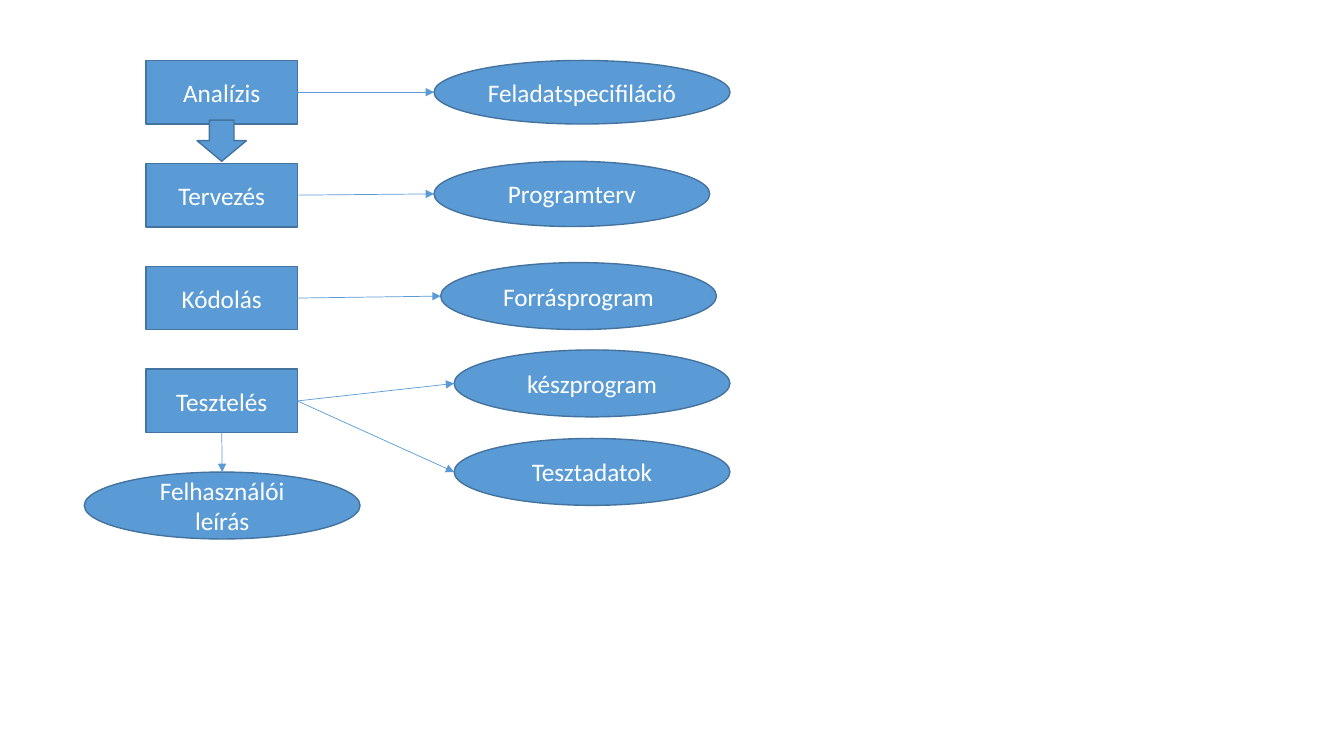
"""Builds a slide of software development stages and the products of each."""
from lxml import etree
from pptx import Presentation
from pptx.dml.color import RGBColor
from pptx.enum.shapes import MSO_CONNECTOR, MSO_SHAPE
from pptx.enum.text import MSO_ANCHOR, PP_ALIGN
from pptx.oxml.ns import qn
from pptx.util import Pt

BLUE, EDGE, WHITE = "5B9BD5", "43739E", "FFFFFF"


def rgb(value):
    return RGBColor.from_string(value)


def add_box(kind, left, top, width, height, text=""):
    sp = s.shapes.add_shape(kind, Pt(left), Pt(top), Pt(width), Pt(height))
    sp.shadow.inherit = False
    sp.fill.solid()
    sp.fill.fore_color.rgb = rgb(BLUE)
    sp.line.color.rgb = rgb(EDGE)
    sp.line.width = Pt(1)
    if text:
        tf = sp.text_frame
        tf.word_wrap = True
        tf.vertical_anchor = MSO_ANCHOR.MIDDLE
        p = tf.paragraphs[0]
        p.text = text
        p.alignment = PP_ALIGN.CENTER
        p.font.name = "Calibri"
        p.font.size = Pt(18)
        p.font.color.rgb = rgb(WHITE)
    return sp


prs = Presentation()
prs.slide_width, prs.slide_height = Pt(960), Pt(540)
s = prs.slides.add_slide(prs.slide_layouts[6])

stages = [
    add_box(MSO_SHAPE.RECTANGLE, 104.4, 43.2 + 73.5 * i, 108, 45.4, name)
    for i, name in enumerate(["Analízis", "Tervezés", "Kódolás", "Tesztelés"])
]
analysis, design, coding, testing = stages

guide = add_box(MSO_SHAPE.OVAL, 60.2, 337.2, 197, 47.8, "Felhasználói leírás")
links = [(testing, 2, guide, 0)]
for stage, name, left, top, width, height in [
    (analysis, "Feladatspecifiláció", 310, 43.2, 211.5, 45.4),
    (design, "Programterv", 310, 115.2, 197, 46.6),
    (coding, "Forrásprogram", 314.8, 187.6, 197, 47.8),
    (testing, "készprogram", 324.4, 250, 197, 47.8),
    (testing, "Tesztadatok", 324.4, 313.2, 197, 47.8),
]:
    product = add_box(MSO_SHAPE.OVAL, left, top, width, height, name)
    links.append((stage, 3, product, 2))

for stage, start, product, end in links:
    c = s.shapes.add_connector(MSO_CONNECTOR.STRAIGHT, 0, 0, 0, 0)
    c.begin_connect(stage, start)
    c.end_connect(product, end)
    if end == 2:
        c.end_x = product.left
        c.end_y = product.top + product.height // 2
    c.line.color.rgb = rgb(BLUE)
    c.line.width = Pt(0.5)
    etree.SubElement(c.line._get_or_add_ln(), qn("a:tailEnd"), type="triangle")
    etree.SubElement(c._element.spPr, qn("a:effectLst"))

add_box(MSO_SHAPE.DOWN_ARROW, 140.8, 85.8, 35.2, 29.4)

prs.save("out.pptx")
